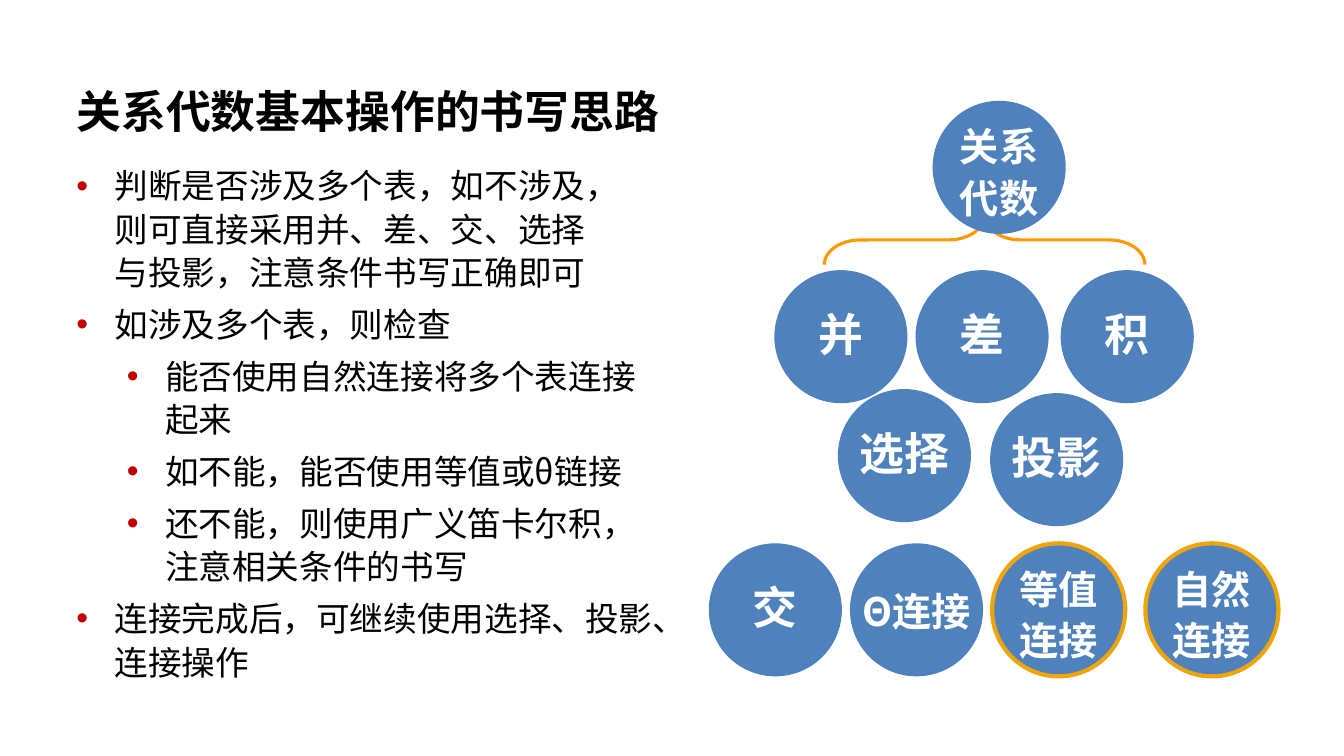
from lxml import etree
from pptx import Presentation, util as u
from pptx.dml.color import RGBColor
from pptx.enum import shapes, text
from pptx.oxml import ns

FONT = "Noto Sans CJK SC"
WHITE, BLACK, BLUE = "FFFFFF", "000000", "4F81BD"
BULLET_RED, BRACE_ORANGE, RING_GOLD = "C00000", "FF9900", "EDA50B"
DIAMETER = 1.32
LABEL_WIDTH = 1.73

TITLE = "关系代数基本操作的书写思路"
STEPS = [  # (level, wording)
    (0, "判断是否涉及多个表，如不涉及，\n则可直接采用并、差、交、选择\n与投影，注意条件书写正确即可"),
    (0, "如涉及多个表，则检查"),
    (1, "能否使用自然连接将多个表连接起来"),
    (1, "如不能，能否使用等值或θ链接"),
    (1, "还不能，则使用广义笛卡尔积，注意相关条件的书写"),
    (0, "连接完成后，可继续使用选择、投影、连接操作"),
]
# Each row: top, then (left, label, size, ringed), in inches within the diagram
OPERATION_ROWS = [
    (0, [(2.22, "关系\n代数", 28, False)]),
    (1.68, [(0.65, "并", 32, False), (2.05, "差", 32, False), (3.49, "积", 32, False)]),
    (2.86, [(1.28, "选择", 32, False)]),
    (2.9, [(2.79, "投影", 32, False)]),
    (4.39, [(0, "交", 32, False), (1.4, "Θ连接", 28, False),
            (2.81, "等值\n连接", 28, True), (4.33, "自然\n连接", 28, True)]),
]


def colour(value):
    return RGBColor.from_string(value)


def inches(*lengths):
    return [u.Inches(length) for length in lengths]


def add_bullet(paragraph, level):
    """Red round bullet with a hanging indent that grows with the level."""
    properties = paragraph._p.get_or_add_pPr()
    properties.set("marL", str(u.Inches(0.38 + 0.5 * level)))
    properties.set("indent", str(u.Inches(-0.38)))
    bullet_colour = etree.SubElement(properties, ns.qn("a:buClr"))
    etree.SubElement(bullet_colour, ns.qn("a:srgbClr"), val=BULLET_RED)
    etree.SubElement(properties, ns.qn("a:buFont"), typeface="Arial")
    etree.SubElement(properties, ns.qn("a:buChar"), char="•")
    paragraph.level = level


def style(paragraph, size, value, bold, first):
    paragraph.line_spacing = u.Pt(31)
    paragraph.space_before = u.Pt(0 if first else 6)
    font = paragraph.font
    font.size, font.bold, font.name = u.Pt(size), bold, FONT
    font.color.rgb = colour(value)
    defaults = paragraph._p.pPr.find(ns.qn("a:defRPr"))
    etree.SubElement(defaults, ns.qn("a:ea"), typeface=FONT)


def add_text_frame(parent, box):
    frame = parent.add_textbox(*inches(*box)).text_frame
    frame.word_wrap = True
    frame.auto_size = text.MSO_AUTO_SIZE.SHAPE_TO_FIT_TEXT
    return frame


def add_explanation(slide, box):
    frame = add_text_frame(slide.shapes, box)
    heading = frame.paragraphs[0]
    heading.text = TITLE
    style(heading, 32, BLACK, True, first=True)
    heading.space_after = u.Pt(12)
    for level, wording in STEPS:
        paragraph = frame.add_paragraph()
        paragraph.text = wording
        add_bullet(paragraph, level)
        style(paragraph, 24, BLACK, False, first=False)


def add_operation(slide, left, top, label, size, ringed):
    group = slide.shapes.add_group_shape()
    circle = group.shapes.add_shape(
        shapes.MSO_SHAPE.OVAL, *inches(left, top, DIAMETER, DIAMETER))
    circle.shadow.inherit = False
    circle.fill.solid()
    circle.fill.fore_color.rgb = colour(BLUE)
    if ringed:
        circle.line.color.rgb = colour(RING_GOLD)
        circle.line.width = u.Pt(3)
    else:
        circle.line.fill.background()

    # Label centred over the circle
    lines = label.split("\n")
    offset, height = (0.42, 0.54) if len(lines) == 1 else (0.2, 1.05)
    label_left = left - (LABEL_WIDTH - DIAMETER) / 2
    frame = add_text_frame(group.shapes, (label_left, top + offset, LABEL_WIDTH, height))
    for number, line in enumerate(lines):
        paragraph = frame.add_paragraph() if number else frame.paragraphs[0]
        paragraph.text = line
        paragraph.alignment = text.PP_ALIGN.CENTER
        style(paragraph, size, WHITE, True, first=number == 0)


def add_diagram(slide, left, top):
    # Brace turned to point up at the root circle
    brace = slide.shapes.add_shape(
        shapes.MSO_SHAPE.LEFT_BRACE, *inches(left + 2.49, top - 0.21, 0.49, 3.18))
    brace.rotation = 90
    brace.adjustments[0] = 0.73
    brace.shadow.inherit = False
    brace.fill.background()
    brace.line.color.rgb = colour(BRACE_ORANGE)
    brace.line.width = u.Pt(2.25)

    # Circles, row by row
    for row_top, operations in OPERATION_ROWS:
        for offset, label, size, ringed in operations:
            add_operation(slide, left + offset, top + row_top, label, size, ringed)


def main():
    presentation = Presentation()
    presentation.slide_width, presentation.slide_height = inches(13.33, 7.5)
    slide = presentation.slides.add_slide(presentation.slide_layouts[6])
    add_explanation(slide, (0.66, 0.88, 6.04, 5.96))
    add_diagram(slide, 7.03, 1)
    presentation.save("out.pptx")


if __name__ == "__main__":
    main()
